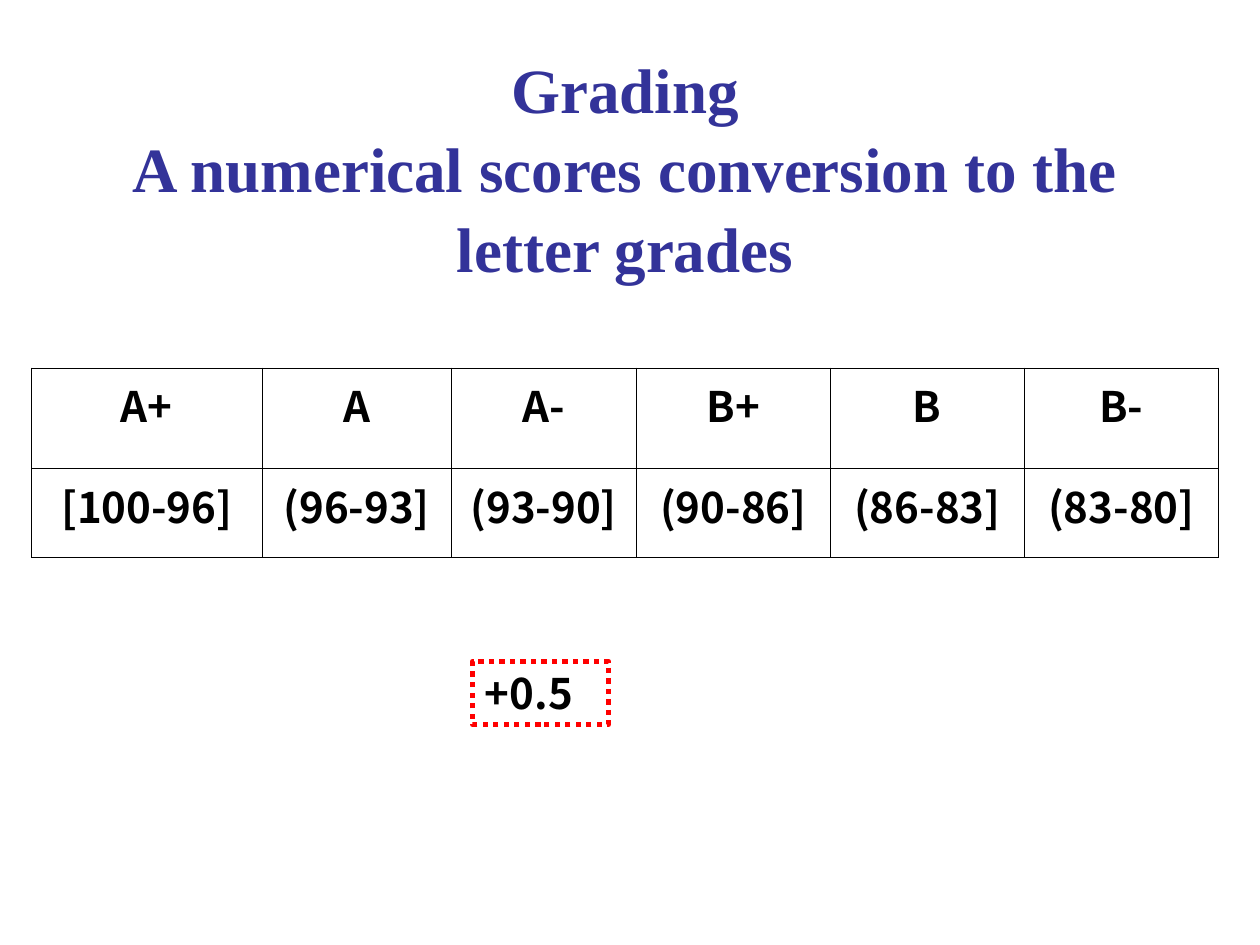
from lxml.etree import SubElement
from pptx import Presentation
from pptx.dml.color import RGBColor
from pptx.enum.dml import MSO_LINE
from pptx.enum.shapes import MSO_SHAPE
from pptx.enum.text import MSO_ANCHOR, PP_ALIGN
from pptx.oxml.ns import qn
from pptx.util import Inches, Pt

COLORS = {"title": "333399", "text": "000000", "grid": "000000", "bonus": "FF0000"}
TITLE_FONT = "Times New Roman"
BODY_FONT = "Noto Sans CJK KR"
GRADES = [
    ["A+", "A", "A-", "B+", "B", "B-"],
    ["[100-96]", "(96-93]", "(93-90]", "(90-86]", "(86-83]", "(83-80]"],
]
COLUMN_WIDTHS = [1.83, 1.5, 1.47, 1.54, 1.54, 1.54]
ROW_HEIGHTS = [0.8, 0.7]


def style_paragraph(paragraph, font_name, size, color, align):
    paragraph.alignment = align
    font = paragraph.font
    font.name = font_name
    font.size = Pt(size)
    font.bold = True
    font.color.rgb = RGBColor.from_string(COLORS[color])


def add_title(slide, text):
    title = slide.shapes.add_textbox(Inches(0.42), Inches(0.3), Inches(9.08), Inches(2.03))
    frame = title.text_frame
    frame.word_wrap = True
    frame.vertical_anchor = MSO_ANCHOR.MIDDLE
    heading = frame.paragraphs[0]
    heading.text = text
    heading.line_spacing = 1.05
    style_paragraph(heading, TITLE_FONT, 36, "title", PP_ALIGN.CENTER)


def set_borders(cell):
    """Draw a thin line on all four sides; call before filling the cell."""
    properties = cell._tc.get_or_add_tcPr()
    for side in ("a:lnL", "a:lnR", "a:lnT", "a:lnB"):
        line = SubElement(properties, qn(side), w=str(Pt(0.45)))
        fill = SubElement(line, qn("a:solidFill"))
        SubElement(fill, qn("a:srgbClr"), val=COLORS["grid"])


def add_grade_table(slide):
    table = slide.shapes.add_table(
        len(GRADES), len(COLUMN_WIDTHS), Inches(0.25), Inches(2.92),
        Inches(sum(COLUMN_WIDTHS)), Inches(sum(ROW_HEIGHTS)),
    ).table
    table.first_row = False
    table.horz_banding = False
    for column, width in zip(table.columns, COLUMN_WIDTHS):
        column.width = Inches(width)
    for row, height, labels in zip(table.rows, ROW_HEIGHTS, GRADES):
        row.height = Inches(height)
        for cell, label in zip(row.cells, labels):
            cell.text = label
            set_borders(cell)
            cell.fill.background()
            style_paragraph(cell.text_frame.paragraphs[0], BODY_FONT, 24, "text", PP_ALIGN.CENTER)


def add_bonus_box(slide, text):
    bonus = slide.shapes.add_shape(
        MSO_SHAPE.RECTANGLE, Inches(3.75), Inches(5.25), Inches(1.08), Inches(0.5))
    bonus.shadow.inherit = False
    bonus.fill.background()
    bonus.line.color.rgb = RGBColor.from_string(COLORS["bonus"])
    bonus.line.width = Pt(3)
    bonus.line.dash_style = MSO_LINE.ROUND_DOT
    frame = bonus.text_frame
    frame.word_wrap = True
    frame.vertical_anchor = MSO_ANCHOR.TOP
    frame.text = text
    style_paragraph(frame.paragraphs[0], BODY_FONT, 24, "text", PP_ALIGN.LEFT)


def main():
    presentation = Presentation()
    presentation.slide_width = Inches(10)
    presentation.slide_height = Inches(7.5)
    slide = presentation.slides.add_slide(presentation.slide_layouts[6])
    add_title(slide, "Grading\vA numerical scores conversion to the letter grades")
    add_grade_table(slide)
    add_bonus_box(slide, "+0.5")
    presentation.save("out.pptx")


if __name__ == "__main__":
    main()
